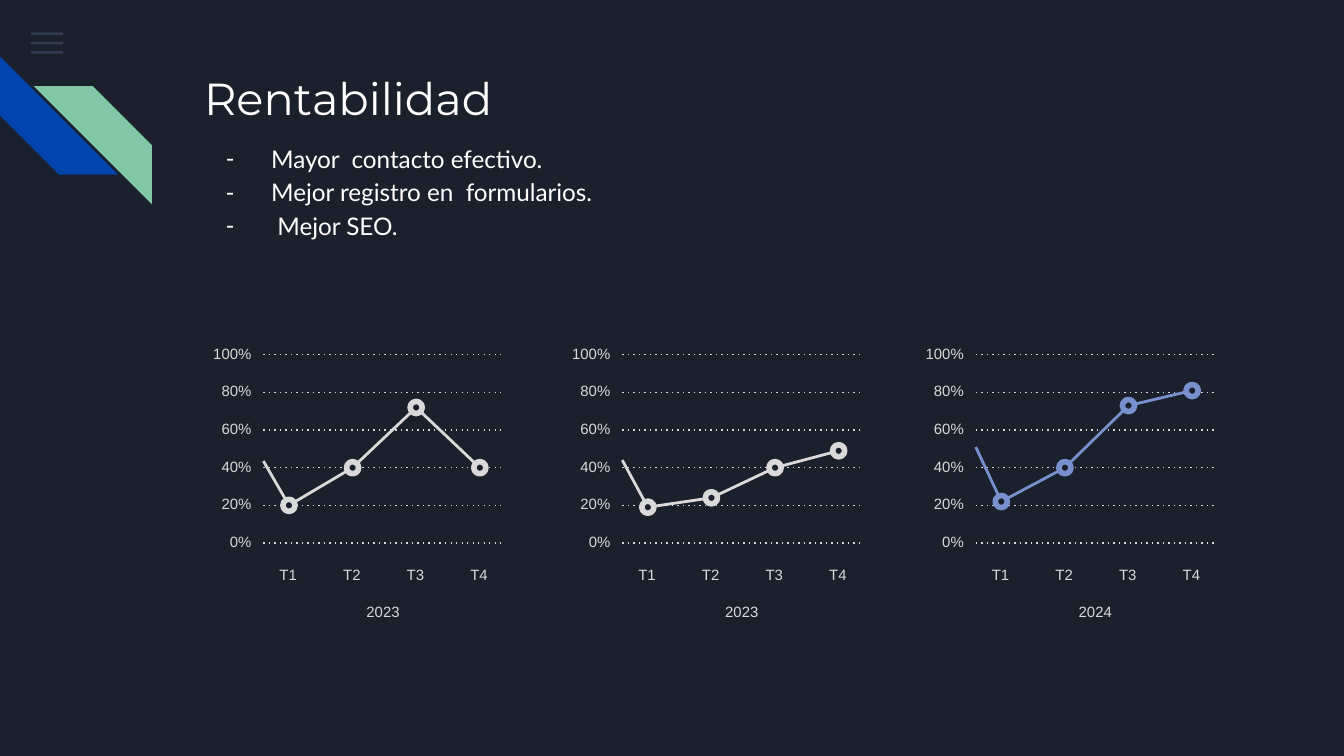
from itertools import pairwise

from lxml import etree
from pptx import Presentation
from pptx.dml.color import RGBColor
from pptx.enum.shapes import MSO_CONNECTOR, MSO_SHAPE
from pptx.enum.text import MSO_ANCHOR, PP_ALIGN
from pptx.oxml.ns import qn
from pptx.util import Inches, Pt

LEFT, CENTER, RIGHT = PP_ALIGN.LEFT, PP_ALIGN.CENTER, PP_ALIGN.RIGHT
TOP = MSO_ANCHOR.TOP
STRAIGHT = MSO_CONNECTOR.STRAIGHT
RECTANGLE, OVAL, STRIPE = MSO_SHAPE.RECTANGLE, MSO_SHAPE.OVAL, MSO_SHAPE.DIAGONAL_STRIPE

NAVY, WHITE, GRAY, PERIWINKLE = "1B212C", "FFFFFF", "D9D9D9", "7890CD"
SLATE, BLUE, GREEN = "55688B", "0145AC", "82C7A5"

BASELINE = 4.04
ROW = 0.28
COLUMN = 1.42 / 3
FIRST_QUARTER = 0.19
PLOT_WIDTH = 1.79
MARKER = 0.09

BENEFITS = ["Mayor  contacto efectivo.", "Mejor registro en  formularios.", " Mejor SEO."]
QUARTERS = ["T1", "T2", "T3", "T4"]
PANELS = [
    (1.96, "2023", GRAY, 43.5, [20, 40, 72, 40]),
    (4.63, "2023", GRAY, 44, [19, 24, 40, 49]),
    (7.26, "2024", PERIWINKLE, 51, [22, 40, 73, 81]),
]


def color(hex_string):
    return RGBColor.from_string(hex_string)


def add_filled(shapes, kind, left, top, width, height, fill):
    shape = shapes.add_shape(kind, Inches(left), Inches(top), Inches(width), Inches(height))
    shape.shadow.inherit = False
    shape.fill.solid()
    shape.fill.fore_color.rgb = color(fill)
    shape.line.fill.background()
    return shape


def add_line(shapes, start, end, stroke, width, dotted=False):
    points = [Inches(length) for length in (*start, *end)]
    connector = shapes.add_connector(STRAIGHT, *points)
    connector.line.color.rgb = color(stroke)
    connector.line.width = Pt(width)
    properties = connector._element.spPr
    if dotted:
        etree.SubElement(properties.find(qn("a:ln")), qn("a:prstDash"), val="dot")
    etree.SubElement(properties, qn("a:effectLst"))


def add_marker(shapes, center, stroke):
    left, top = (length - MARKER / 2 for length in center)
    marker = add_filled(shapes, OVAL, left, top, MARKER, MARKER, NAVY)
    marker.line.color.rgb = color(stroke)
    marker.line.width = Pt(3)


def add_text(shapes, left, top, width, height, lines, font, size, ink, align=LEFT, inset=0.1):
    box = shapes.add_textbox(Inches(left), Inches(top), Inches(width), Inches(height))
    frame = box.text_frame
    frame.word_wrap = True
    frame.vertical_anchor = TOP
    frame.margin_left = frame.margin_right = frame.margin_bottom = Inches(0.1)
    frame.margin_top = Inches(inset)
    for index, line in enumerate(lines):
        paragraph = frame.add_paragraph() if index else frame.paragraphs[0]
        paragraph.alignment = align
        run = paragraph.add_run()
        run.text = line
        run.font.name = font
        run.font.size = Pt(size)
        run.font.color.rgb = color(ink)
    return frame.paragraphs


def add_label(shapes, left, top, width, height, text, align=CENTER):
    return add_text(shapes, left, top, width, height, [text], "Arial", 8, GRAY, align, 0.13)


def add_bullet(paragraph, symbol):
    properties = paragraph._p.get_or_add_pPr()
    properties.set("marL", str(Inches(0.5)))
    properties.set("indent", str(Inches(-0.34)))
    bullet_color = etree.SubElement(properties, qn("a:buClr"))
    etree.SubElement(bullet_color, qn("a:srgbClr"), val=WHITE)
    etree.SubElement(properties, qn("a:buFont"), typeface="Lato")
    etree.SubElement(properties, qn("a:buChar"), char=symbol)
    paragraph.line_spacing = 1.15


def add_menu_icon(shapes):
    for row in range(3):
        bar = add_filled(shapes, RECTANGLE, 0.23, 0.24 + 0.07 * row, 0.24, 0.02, SLATE)
        fill_color = bar._element.spPr.find(qn("a:solidFill")).find(qn("a:srgbClr"))
        etree.SubElement(fill_color, qn("a:alpha"), val="36000")


def add_stripes(shapes):
    blue_stripe = add_filled(shapes, STRIPE, 0, 0.42, 0.88, 0.88, BLUE)
    blue_stripe.rotation = 270
    green_stripe = add_filled(shapes, STRIPE, 0.25, 0.64, 0.88, 0.88, GREEN)
    green_stripe._element.spPr.find(qn("a:xfrm")).set("flipH", "1")


def add_trend_panel(slide, left, year, stroke, entry, values):
    shapes = slide.shapes.add_group_shape().shapes

    def height_of(value):
        return BASELINE - value / 20 * ROW

    for percent in range(0, 101, 20):
        level = height_of(percent)
        add_line(shapes, (left, level), (left + PLOT_WIDTH, level), GRAY, 0.75, dotted=True)
        add_label(shapes, left - 0.48, level - 0.16, 0.49, 0.21, f"{percent}%", RIGHT)

    for column, quarter in enumerate(QUARTERS):
        add_label(shapes, left + COLUMN * column, 4.13, 0.37, 0.21, quarter)
    caption = add_label(shapes, left + 0.53, 4.37, 0.72, 0.35, year)[0]
    caption.line_spacing = 1.15
    caption.space_after = Pt(16)

    centers = [
        (left + FIRST_QUARTER + COLUMN * column, height_of(value))
        for column, value in enumerate(values)
    ]
    for start, end in pairwise([(left, height_of(entry)), *centers]):
        add_line(shapes, start, end, stroke, 1.5)
    for center in centers:
        add_marker(shapes, center, stroke)


def main():
    presentation = Presentation()
    presentation.slide_width = Inches(10)
    presentation.slide_height = presentation.slide_width * 9 // 16
    slide = presentation.slides.add_slide(presentation.slide_layouts[6])
    slide.background.fill.solid()
    slide.background.fill.fore_color.rgb = color(NAVY)

    add_menu_icon(slide.shapes)
    add_stripes(slide.shapes)
    add_text(slide.shapes, 1.42, 0.43, 7.7, 1, ["Rentabilidad"], "Montserrat", 24, WHITE)
    benefits = add_text(slide.shapes, 1.42, 0.94, 7.7, 1.25, BENEFITS, "Lato", 13, WHITE)
    for paragraph in benefits:
        add_bullet(paragraph, "-")
    for panel in PANELS:
        add_trend_panel(slide, *panel)
    presentation.save("out.pptx")


if __name__ == "__main__":
    main()
